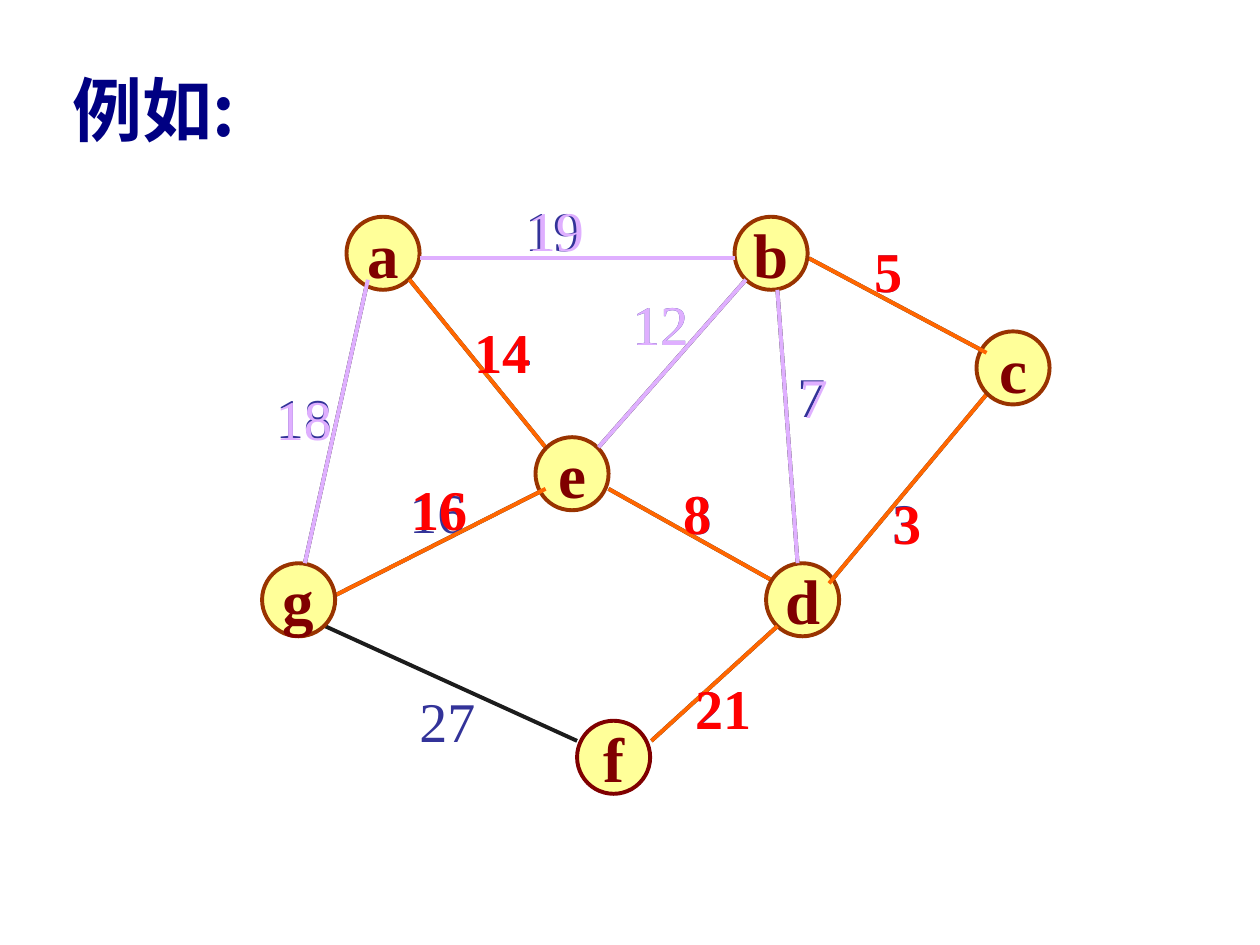
from dataclasses import dataclass

from lxml import etree
from pptx import Presentation
from pptx import util as u
from pptx.dml.color import RGBColor
from pptx.enum import shapes, text
from pptx.oxml import ns

COLORS = {
    "edge": "1C1C1C",
    "tree": "FF6600",
    "rejected": "DFAFFF",
    "weight": "333399",
    "tree_weight": "FF0000",
    "node": "FFFF99",
    "node_line": "993300",
    "node_text": "800000",
    "title": "000082",
}
SERIF = "Times New Roman"
TITLE_FONT = "Noto Sans CJK SC"
LINE_WIDTH = u.Pt(2.25)
NODE_SIZE = 0.58
WEIGHT_FORMAT = {"name": SERIF, "size": u.Pt(32), "bold": False}
TREE_WEIGHT_FORMAT = {"name": SERIF, "size": u.Pt(32), "bold": True}
NODE_FORMAT = {"name": SERIF, "size": u.Pt(36), "bold": True}
TITLE_FORMAT = {"name": TITLE_FONT, "size": u.Pt(40), "bold": True}


@dataclass(frozen=True)
class Node:
    left: float
    top: float
    line: str = "node_line"


@dataclass(frozen=True)
class Edge:
    start: tuple[float, float]
    end: tuple[float, float]
    weight: str
    label: tuple[float, float]
    shift: tuple[float, float] = (0, 0)


NODES = {
    "a": Node(2.75, 1.72),
    "b": Node(5.83, 1.72),
    "c": Node(7.75, 2.63),
    "d": Node(6.08, 4.47),
    "e": Node(4.25, 3.47),
    "f": Node(4.58, 5.72, "node_text"),
    "g": Node(2.08, 4.47),
}
EDGES = {
    "ab": Edge((3.33, 2.05), (5.83, 2.05), "19", (4.07, 1.5), (0.02, 0)),
    "ae": Edge((3.25, 2.22), (4.33, 3.55), "14", (3.67, 2.47)),
    "be": Edge((5.92, 2.22), (4.75, 3.55), "12", (4.92, 2.25)),
    "ag": Edge((2.92, 2.22), (2.42, 4.47), "18", (2.09, 2.99), (0, 0.01)),
    "ge": Edge((2.67, 4.72), (4.33, 3.88), "16", (3.15, 3.74), (0.02, -0.02)),
    "ed": Edge((4.83, 3.88), (6.17, 4.63), "8", (5.33, 3.75)),
    "bc": Edge((6.42, 2.05), (7.83, 2.8), "5", (6.84, 1.83)),
    "cd": Edge((7.83, 3.13), (6.58, 4.63), "3", (6.98, 3.82), (0.01, 0.01)),
    "bd": Edge((6.17, 2.3), (6.33, 4.47), "7", (6.23, 2.82), (0.02, 0.01)),
    "gf": Edge((2.58, 4.97), (4.58, 5.88), "27", (3.23, 5.4)),
    "df": Edge((6.17, 4.97), (5.17, 5.88), "21", (5.42, 5.3)),
}
TREE_ORDER = ("a", "ae", "e", "ed", "d", "cd", "c", "bc", "b", "ge", "g", "df", "f")
TREE_EDGES = [name for name in TREE_ORDER if name in EDGES]
REJECTED_EDGES = ("bd", "be", "ag", "ab")


def color(name: str) -> RGBColor:
    return RGBColor.from_string(COLORS[name])


def write(shape, content: str, font_format: dict, font_color: str) -> None:
    frame = shape.text_frame
    frame.word_wrap = False
    run = frame.paragraphs[0].add_run()
    run.text = content
    for attribute, value in font_format.items():
        setattr(run.font, attribute, value)
    run.font.color.rgb = color(font_color)
    east_asian = etree.SubElement(run.font._element, ns.qn("a:ea"))
    east_asian.set("typeface", font_format["name"])


def add_text(slide, content: str, box: tuple, font_format: dict, font_color: str) -> None:
    shape = slide.shapes.add_textbox(*map(u.Inches, box))
    write(shape, content, font_format, font_color)
    shape.text_frame.auto_size = text.MSO_AUTO_SIZE.SHAPE_TO_FIT_TEXT


def add_edge(slide, edge: Edge, line_color: str) -> None:
    connector = slide.shapes.add_connector(
        shapes.MSO_CONNECTOR.STRAIGHT, *map(u.Inches, edge.start + edge.end)
    )
    connector.line.color.rgb = color(line_color)
    connector.line.width = LINE_WIDTH
    etree.SubElement(connector._element.spPr, ns.qn("a:effectLst"))


def add_weight(
    slide, edge: Edge, font_format: dict, font_color: str, shifted: bool = True
) -> None:
    left, top = edge.label
    if shifted:
        left, top = left + edge.shift[0], top + edge.shift[1]
    width = 0.65 if len(edge.weight) == 2 else 0.43
    add_text(slide, edge.weight, (left, top, width, 0.64), font_format, font_color)


def add_node(slide, name: str, node: Node) -> None:
    shape = slide.shapes.add_shape(
        shapes.MSO_SHAPE.OVAL,
        *map(u.Inches, (node.left, node.top, NODE_SIZE, NODE_SIZE)),
    )
    shape.shadow.inherit = False
    shape.fill.solid()
    shape.fill.fore_color.rgb = color("node")
    shape.line.color.rgb = color(node.line)
    shape.line.width = LINE_WIDTH
    write(shape, name, NODE_FORMAT, "node_text")
    shape.text_frame.vertical_anchor = text.MSO_ANCHOR.MIDDLE
    shape.text_frame.paragraphs[0].alignment = text.PP_ALIGN.CENTER


def main() -> None:
    presentation = Presentation()
    presentation.slide_width = u.Inches(10)
    presentation.slide_height = u.Inches(7.5)
    slide = presentation.slides.add_slide(presentation.slide_layouts[6])

    for edge in EDGES.values():
        add_edge(slide, edge, "edge")
    for edge in EDGES.values():
        add_weight(slide, edge, WEIGHT_FORMAT, "weight", shifted=False)
    for name in TREE_ORDER:
        if name in NODES:
            add_node(slide, name, NODES[name])
        else:
            add_edge(slide, EDGES[name], "tree")
    for name in TREE_EDGES:
        add_weight(slide, EDGES[name], TREE_WEIGHT_FORMAT, "tree_weight")
    add_text(slide, "例如:", (0.48, 0.48, 1.77, 0.77), TITLE_FORMAT, "title")
    for name in REJECTED_EDGES:
        add_edge(slide, EDGES[name], "rejected")
    for name in REJECTED_EDGES:
        add_weight(slide, EDGES[name], WEIGHT_FORMAT, "rejected")

    presentation.save("out.pptx")


if __name__ == "__main__":
    main()
